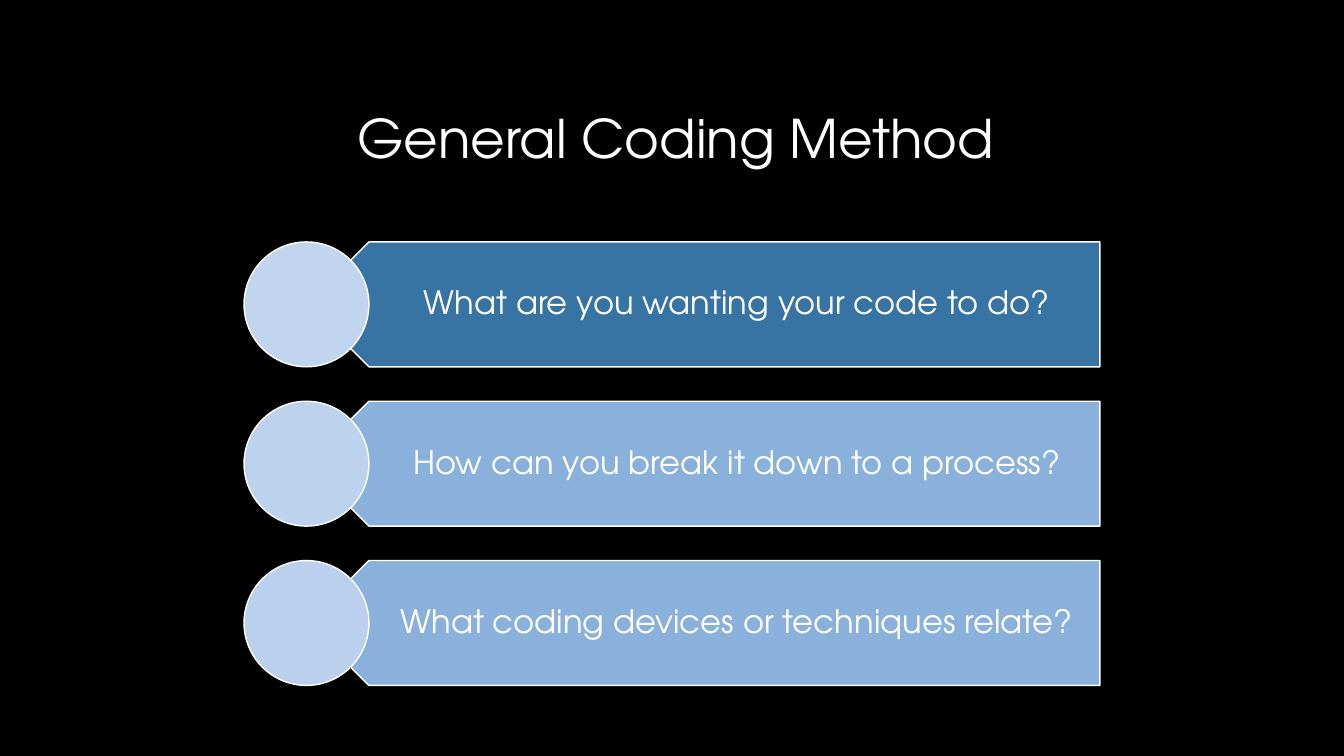
"""Build the General Coding Method slide."""
from pptx import Presentation, util as u
from pptx.dml.color import RGBColor
from pptx.enum import shapes, text

BLACK = RGBColor(0x00, 0x00, 0x00)
WHITE = RGBColor(0xFF, 0xFF, 0xFF)
DEEP_BLUE = RGBColor(0x37, 0x73, 0xA3)
SOFT_BLUE = RGBColor(0x89, 0xB1, 0xDC)
FONT = "TeX Gyre Adventor"

QUESTIONS = [
    ("What are you wanting your code to do?", DEEP_BLUE, RGBColor(0xC1, 0xD5, 0xEE)),
    ("How can you break it down to a process?", SOFT_BLUE, RGBColor(0xBD, 0xD2, 0xED)),
    ("What coding devices or techniques relate?", SOFT_BLUE, RGBColor(0xBA, 0xD0, 0xED)),
]


def add_wording(slide, box, wording, size, align, insets):
    """Place one line of white text, centred vertically in the box."""
    frame = slide.shapes.add_textbox(*map(u.Pt, box)).text_frame
    left, top, right, bottom = map(u.Pt, insets)
    line = frame.paragraphs[0]
    line.text = wording
    formats = [
        (frame, {"word_wrap": True, "vertical_anchor": text.MSO_ANCHOR.MIDDLE,
                 "margin_left": left, "margin_top": top,
                 "margin_right": right, "margin_bottom": bottom}),
        (line, {"alignment": align, "line_spacing": 0.9}),
        (line.runs[0].font, {"name": FONT, "size": u.Pt(size)}),
        (line.runs[0].font.color, {"rgb": WHITE}),
    ]
    for target, values in formats:
        for key, value in values.items():
            setattr(target, key, value)


def add_outlined(slide, kind, box, fill, rotation=0):
    """Place a filled shape with a thin white outline."""
    outlined = slide.shapes.add_shape(kind, *map(u.Pt, box))
    outlined.rotation = rotation
    outlined.shadow.inherit = False
    outlined.fill.solid()
    outlined.fill.fore_color.rgb = fill
    outlined.line.color.rgb = WHITE
    outlined.line.width = u.Pt(1)


def add_question(slide, box, question, plate_fill, circle_fill):
    """Place a left-pointing plate, its question and the circle at its tip."""
    left, top, width, height = box
    plate = (left + height / 2, top, width - height / 2, height)
    wording = (left + height * 0.75, top, width - height * 0.75, height)
    add_outlined(slide, shapes.MSO_SHAPE.PENTAGON, plate, plate_fill, 180)
    add_wording(slide, wording, question, 23, text.PP_ALIGN.CENTER, (39.6, 7.2, 13, 7.2))
    add_outlined(slide, shapes.MSO_SHAPE.OVAL, (left, top, height, height), circle_fill)


def add_question_list(slide, box, row_height):
    """Spread the questions evenly down the box."""
    left, top, width, height = box
    pitch = (height - row_height) / (len(QUESTIONS) - 1)
    for row, question in enumerate(QUESTIONS):
        add_question(slide, (left, top + row * pitch, width, row_height), *question)


def main():
    """Build and save the presentation."""
    deck = Presentation()
    deck.slide_width, deck.slide_height = u.Pt(960), u.Pt(540)
    slide = deck.slides.add_slide(deck.slide_layouts[6])
    slide.background.fill.solid()
    slide.background.fill.fore_color.rgb = BLACK
    add_wording(slide, (243.4, 50.4, 473.8, 101.5), "General Coding Method", 38,
                text.PP_ALIGN.RIGHT, (7.2, 3.6, 7.2, 3.6))
    add_question_list(slide, (174.3, 172.8, 611.3, 316.8), 89.2)
    deck.save("out.pptx")


if __name__ == "__main__":
    main()
